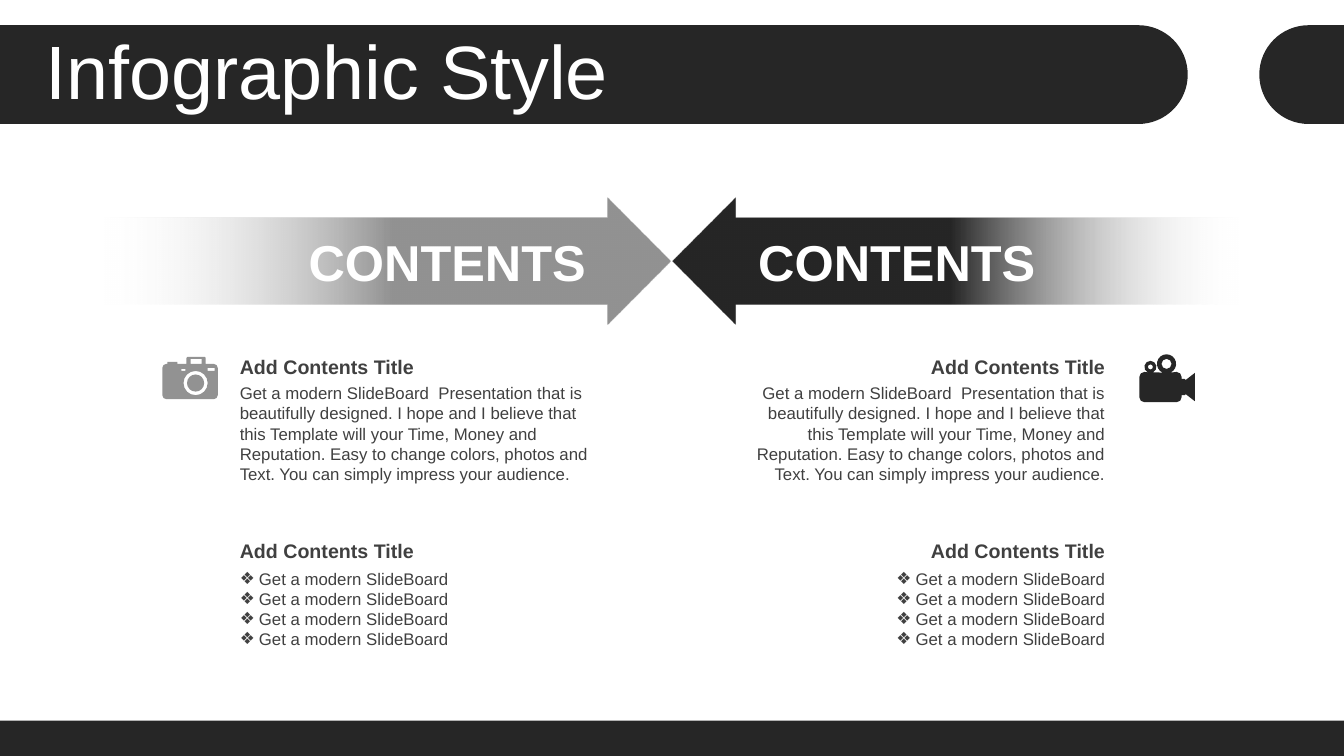
from math import ceil, cos, radians, sin, tan

from lxml import etree
from pptx import Presentation
from pptx import util as u
from pptx.dml.color import RGBColor
from pptx.enum import shapes as s, text as t
from pptx.oxml import ns

COLORS = {"dark": "262626", "gray": "929292", "body": "404040", "white": "FFFFFF"}
FONT = "Arial"
STYLES = {
    "title": {"size": u.Pt(54), "bold": False},
    "banner": {"size": u.Pt(36), "bold": True},
    "heading": {"size": u.Pt(14), "bold": True},
    "body": {"size": u.Pt(12), "bold": False},
}
HEADING = "Add Contents Title"
DESCRIPTION = (
    "Get a modern SlideBoard  Presentation that is beautifully designed. "
    "I hope and I believe that this Template will your Time, Money and Reputation. "
    "Easy to change colors, photos and Text. You can simply impress your audience."
)
BULLETS = ["Get a modern SlideBoard"] * 4
LEFT, RIGHT = t.PP_ALIGN.LEFT, t.PP_ALIGN.RIGHT


def rgb(name):
    return RGBColor.from_string(COLORS[name])


def arc(cx, cy, r, start=0, end=360):
    """Clockwise arc as Bezier points (x, y, is_curve), degrees from the right."""
    count = ceil((end - start) / 90)
    step = radians(end - start) / count
    k = 4 / 3 * tan(step / 4)
    points = [(cx + r * cos(radians(start)), cy + r * sin(radians(start)), False)]
    for i in range(count):
        a = radians(start) + i * step
        b = a + step
        points += [
            (cx + r * (cos(a) - k * sin(a)), cy + r * (sin(a) + k * cos(a)), True),
            (cx + r * (cos(b) + k * sin(b)), cy + r * (sin(b) - k * cos(b)), True),
            (cx + r * cos(b), cy + r * sin(b), True),
        ]
    return points


def rect(x, y, w, h):
    return [(x, y), (x + w, y), (x + w, y + h), (x, y + h)]


def draw_outline(slide, x, y, contours, color):
    """Fill contours given in inches from (x, y); inner contours become holes."""
    placed = [[(u.Inches(x + p[0]), u.Inches(y + p[1])) for p in contour]
              for contour in contours]
    builder = slide.shapes.build_freeform(*placed[0][0])
    for i, contour in enumerate(placed):
        if i:
            builder.move_to(*contour[0])
        builder.add_line_segments(contour[1:], close=True)
    outline = builder.convert_to_shape()
    paint(outline, color)
    # Join each three curve points into one Bezier segment
    flags = [len(p) == 3 and p[2] for contour in contours for p in contour[1:]]
    segments = outline._element.spPr.xpath(".//a:lnTo")
    curved = [segment for segment, flag in zip(segments, flags) if flag]
    for i in range(0, len(curved), 3):
        bezier = etree.Element(ns.qn("a:cubicBezTo"))
        curved[i].addprevious(bezier)
        for segment in curved[i:i + 3]:
            bezier.append(segment[0])
            segment.getparent().remove(segment)


def paint(shape, color):
    shape.shadow.inherit = False
    shape.fill.solid()
    shape.fill.fore_color.rgb = rgb(color)
    shape.line.fill.background()


def add_text(slide, box, lines, style, color, align=LEFT, bullet=None, **frame_format):
    frame = slide.shapes.add_textbox(*map(u.Inches, box)).text_frame
    layout = {"word_wrap": True, "auto_size": t.MSO_AUTO_SIZE.SHAPE_TO_FIT_TEXT}
    for key, value in {**layout, **frame_format}.items():
        setattr(frame, key, value)
    for i, line in enumerate(lines):
        paragraph = frame.add_paragraph() if i else frame.paragraphs[0]
        paragraph.alignment = align
        if bullet:
            props = paragraph._p.get_or_add_pPr()
            props.set("marL", str(u.Inches(0.19)))
            props.set("indent", str(u.Inches(-0.19)))
            etree.SubElement(props, ns.qn("a:buFont"), typeface=FONT)
            etree.SubElement(props, ns.qn("a:buChar"), char=bullet)
        run = paragraph.add_run()
        run.text = line
        for key, value in {"name": FONT, **STYLES[style]}.items():
            setattr(run.font, key, value)
        run.font.color.rgb = rgb(color)
    return frame


def add_header(slide, x, y, w, h):
    r = h / 2
    # Long bar with a round right end, then the tab at the right edge
    bar = [(0, 0), *arc(11.78 - r, r, r, -90, 90), (0, h)]
    tab = [(w, h), *arc(12.49 + r, r, r, 90, 270), (w, 0)]
    for outline in (bar, tab):
        draw_outline(slide, x, y, [outline], "dark")
    title = add_text(slide, (x + 0.35, y + 0.1, 12.66, 0.79), ["Infographic Style"],
                     "title", "white", auto_size=t.MSO_AUTO_SIZE.NONE,
                     vertical_anchor=t.MSO_ANCHOR.MIDDLE)
    title.paragraphs[0].line_spacing = 0.9


def add_footer(slide, x, y, w, h):
    paint(slide.shapes.add_shape(s.MSO_SHAPE.RECTANGLE, *map(u.Inches, (x, y, w, h))), "dark")


def add_banner(slide, x, y, w, h, color, rotation, label_left, align):
    arrow = slide.shapes.add_shape(s.MSO_SHAPE.RIGHT_ARROW, *map(u.Inches, (x, y, w, h)))
    paint(arrow, color)
    arrow.rotation = rotation
    arrow.adjustments[0], arrow.adjustments[1] = 0.682, 0.5
    # Solid at the head, fading out at the tail
    arrow.fill.gradient()
    arrow.fill.gradient_angle = 180
    for stop, (position, name) in zip(arrow.fill.gradient_stops,
                                      [(0.46, color), (0.94, "white")]):
        stop.position = position
        stop.color.rgb = rgb(name)
    tail_color = arrow._element.spPr.xpath(".//a:gs[2]/a:srgbClr")[0]
    etree.SubElement(tail_color, ns.qn("a:alpha"), val="0")
    margins = {f"margin_{side}": 0 for side in ("left", "top", "right", "bottom")}
    add_text(slide, (x + label_left, y + 0.32, 3.39, 0.61), ["CONTENTS"], "banner", "white",
             align, vertical_anchor=t.MSO_ANCHOR.BOTTOM, **margins)


def add_column(slide, x, y, w, align):
    for top, height, lines, style, bullet in [
        (0, 0.34, [HEADING], "heading", None),
        (0.28, 1.11, [DESCRIPTION], "body", None),
        (1.83, 0.34, [HEADING], "heading", None),
        (2.12, 0.91, BULLETS, "body", "❖"),
    ]:
        add_text(slide, (x, y + top, w, height), lines, style, "body", align, bullet)


def add_camera(slide, x, y, w, h):
    r = 0.04
    body = [
        *arc(r, 0.07 + r, r, 180, 270), (0.05, 0.07), (0.05, 0.05), (0.15, 0.05),
        (0.15, 0.07), (0.24, 0.07), (0.24, 0.01), (0.25, 0), (0.42, 0), (0.43, 0.01),
        (0.43, 0.07), *arc(w - r, 0.07 + r, r, 270, 360),
        *arc(w - r, h - r, r, 0, 90), *arc(r, h - r, r, 90, 180),
    ]
    lens = [arc(0.33, 0.26, radius) for radius in (0.12, 0.085)]
    windows = [rect(0.19, 0.12, 0.04, 0.02), rect(0.45, 0.11, 0.07, 0.03),
               rect(0.28, 0.02, 0.11, 0.05)]
    draw_outline(slide, x, y, [body, *lens, *windows], "gray")


def add_camcorder(slide, x, y, w, h):
    r = 0.05
    body = [
        *arc(r, 0.18 + r, r, 180, 270),
        *arc(0.11, 0.13, 0.06, 115, 425), *arc(0.27, 0.1, 0.095, 115, 425),
        *arc(0.42 - r, 0.18 + r, r, 270, 360), (0.42, 0.25), (0.45, 0.25),
        (0.46, 0.26), (w, 0.19), (w, 0.47), (0.46, 0.4), (0.45, 0.41), (0.42, 0.41),
        *arc(0.42 - r, h - r, r, 0, 90), *arc(r, h - r, r, 90, 180),
    ]
    reels = [arc(0.11, 0.13, 0.025), arc(0.27, 0.1, 0.05)]
    draw_outline(slide, x, y, [body, *reels], "dark")


def main():
    deck = Presentation()
    deck.slide_width, deck.slide_height = u.Inches(13.33), u.Inches(7.5)
    slide = deck.slides.add_slide(deck.slide_layouts[6])

    add_header(slide, 0, 0.25, 13.33, 0.98)
    add_footer(slide, 0, 7.15, 13.33, 0.35)

    # Facing arrows, each with its text column
    add_banner(slide, 0.67, 1.96, 5.98, 1.26, "gray", 0, 1.75, RIGHT)
    add_banner(slide, 6.67, 1.96, 5.98, 1.26, "dark", 180, 0.85, LEFT)
    add_column(slide, 2.28, 3.47, 3.67, LEFT)
    add_column(slide, 7.39, 3.47, 3.67, RIGHT)

    # Icons
    add_camera(slide, 1.61, 3.54, 0.55, 0.42)
    add_camcorder(slide, 11.3, 3.51, 0.55, 0.48)

    deck.save("out.pptx")


if __name__ == "__main__":
    main()
